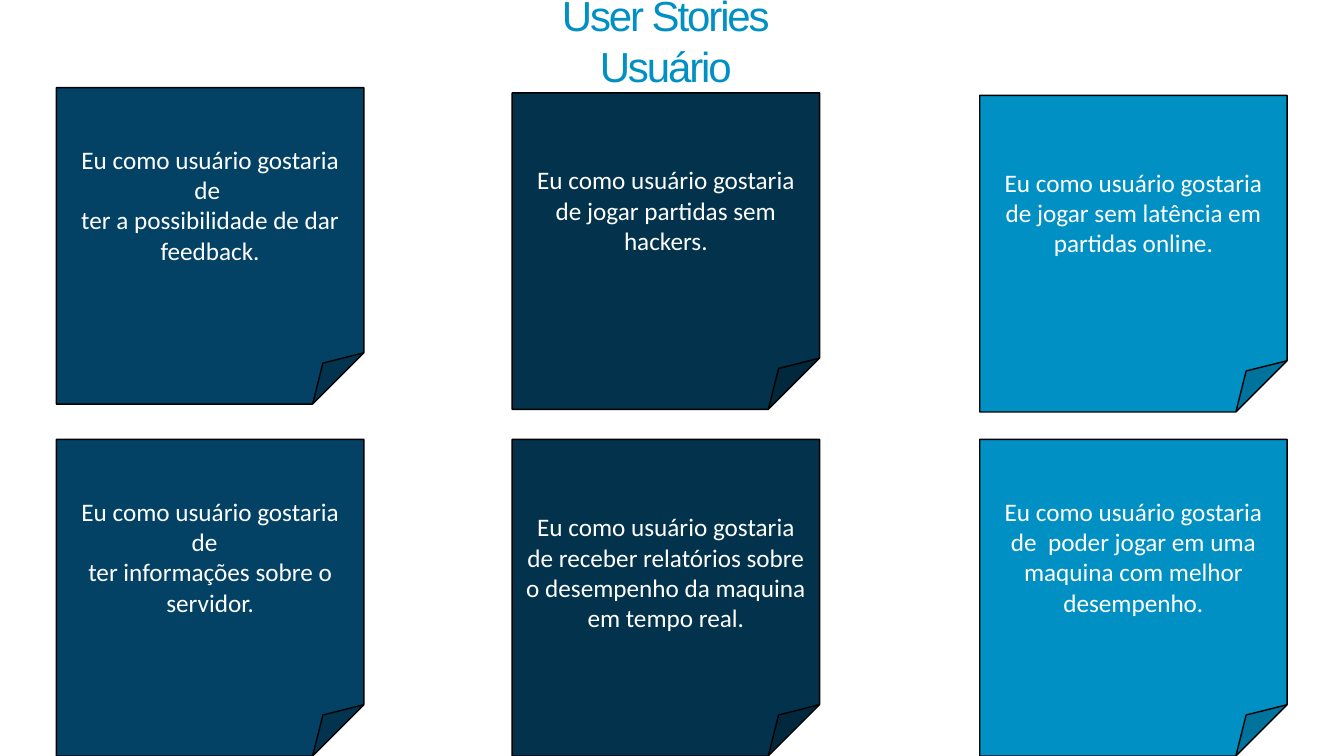
"""Builds a slide with six user-story notes under a two-line title."""
from pptx import Presentation
from pptx.dml.color import RGBColor
from pptx.enum.shapes import MSO_SHAPE
from pptx.enum.text import MSO_ANCHOR, MSO_AUTO_SIZE, PP_ALIGN
from pptx.util import Pt

FOLDED = MSO_SHAPE.FOLDED_CORNER
CENTER = PP_ALIGN.CENTER
TOP, MIDDLE = MSO_ANCHOR.TOP, MSO_ANCHOR.MIDDLE
NO_AUTOFIT = MSO_AUTO_SIZE.NONE
BLUE = RGBColor(0x03, 0x42, 0x65)
NAVY = RGBColor(0x02, 0x32, 0x4C)
CYAN = RGBColor(0x00, 0x90, 0xC4)
BLACK = RGBColor(0x00, 0x00, 0x00)
WHITE = RGBColor(0xFF, 0xFF, 0xFF)

NOTE_W, NOTE_H = 219.6, 226.1
BOTTOM_ROW = 313.9
RAISED, CENTERED = 25.6, 3.6


def add_run(p, text, font, size, color):
    p.alignment = CENTER
    r = p.add_run()
    r.text = text
    r.font.name = font
    r.font.size = Pt(size)
    r.font.color.rgb = color
    return r


prs = Presentation()
prs.slide_width, prs.slide_height = Pt(960), Pt(540)
s = prs.slides.add_slide(prs.slide_layouts[5])

title = s.shapes.title
title.left, title.top, title.width, title.height = Pt(114.5), Pt(-10.8), Pt(722.2), Pt(79.9)
tf = title.text_frame
tf.word_wrap = True
tf.auto_size = NO_AUTOFIT
tf.vertical_anchor = TOP
for i, line in enumerate(["User Stories", "Usuário"]):
    p = tf.add_paragraph() if i else tf.paragraphs[0]
    p.line_spacing = Pt(36)
    p.space_before = Pt(0)
    r = add_run(p, line, "Arial", 30, CYAN)
    r.font._element.set("spc", "-150")

columns = [
    (40.3, 62.6, BLUE, [
        (["Eu como usuário gostaria de ", "ter a possibilidade de dar feedback."], RAISED),
        (["Eu como usuário gostaria de  ", "ter informações sobre o servidor."], RAISED),
    ]),
    (365.8, 66.4, NAVY, [
        (["Eu como usuário gostaria de jogar partidas sem hackers."], RAISED),
        (["Eu como usuário gostaria de receber relatórios sobre o desempenho "
          "da maquina em tempo real."], CENTERED),
    ]),
    (699.8, 68.2, CYAN, [
        (["Eu como usuário gostaria de jogar sem latência em partidas online."], RAISED),
        (["Eu como usuário gostaria de  poder jogar em uma maquina com melhor "
          "desempenho."], RAISED),
    ]),
]
for left, first_top, color, stories in columns:
    for top, (story, bottom_inset) in zip((first_top, BOTTOM_ROW), stories):
        sp = s.shapes.add_shape(FOLDED, Pt(left), Pt(top), Pt(NOTE_W), Pt(NOTE_H))
        sp.shadow.inherit = False
        sp.fill.solid()
        sp.fill.fore_color.rgb = color
        sp.line.color.rgb = BLACK
        sp.line.width = Pt(1)
        tf = sp.text_frame
        tf.word_wrap = True
        tf.vertical_anchor = MIDDLE
        tf.margin_bottom = Pt(bottom_inset)
        for i, line in enumerate(story):
            p = tf.add_paragraph() if i else tf.paragraphs[0]
            add_run(p, line, "Calibri", 18, WHITE)

prs.save("out.pptx")
